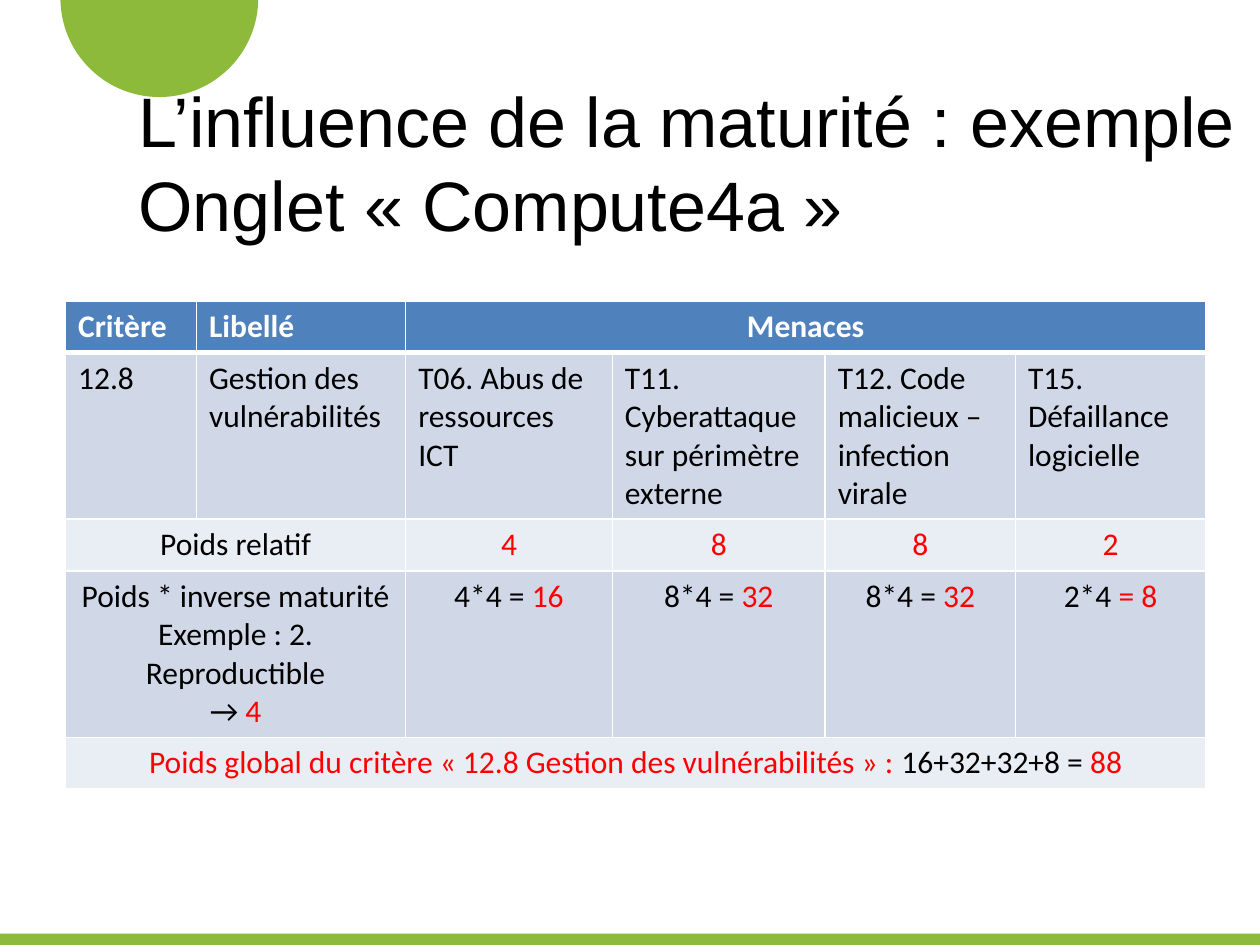
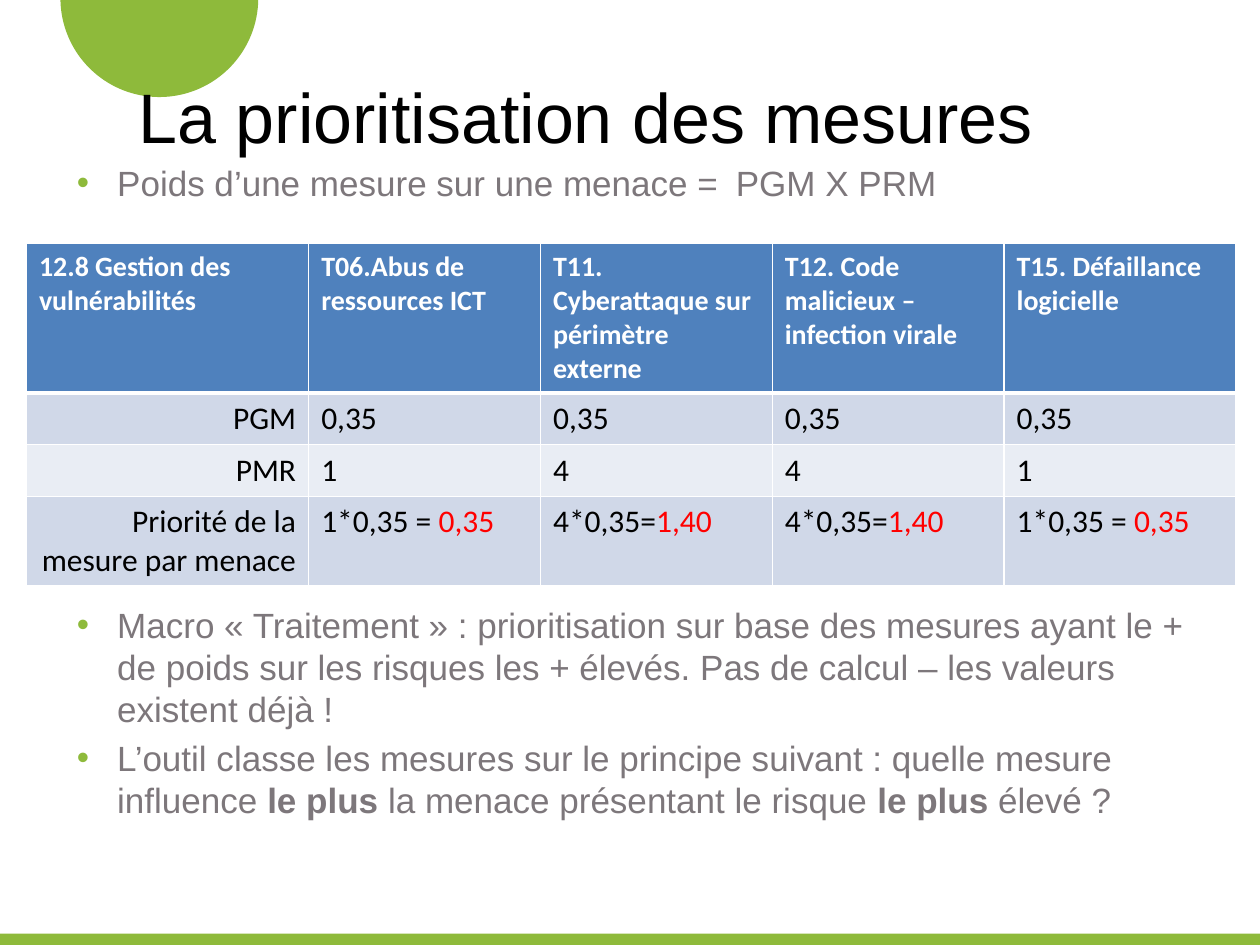
from lxml import etree
from pptx import Presentation
from pptx.dml.color import RGBColor
from pptx.enum.shapes import MSO_SHAPE
from pptx.enum.text import MSO_ANCHOR, MSO_AUTO_SIZE, PP_ALIGN
from pptx.oxml.ns import qn
from pptx.util import Inches, Pt

OVAL, RECTANGLE = MSO_SHAPE.OVAL, MSO_SHAPE.RECTANGLE
LEFT, CENTER, RIGHT = PP_ALIGN.LEFT, PP_ALIGN.CENTER, PP_ALIGN.RIGHT
BOTTOM, NO_FIT = MSO_ANCHOR.BOTTOM, MSO_AUTO_SIZE.NONE

GREEN = RGBColor(0x8E, 0xBA, 0x3B)
BLACK = RGBColor(0x00, 0x00, 0x00)
GREY = RGBColor(0x7D, 0x77, 0x7B)
WHITE = RGBColor(0xFF, 0xFF, 0xFF)
RED = RGBColor(0xFF, 0x00, 0x00)
HEADER_BLUE = RGBColor(0x4F, 0x81, 0xBD)
DARK_BAND = RGBColor(0xD0, 0xD8, 0xE8)
LIGHT_BAND = RGBColor(0xE9, 0xED, 0xF4)

TEXT_FONT, TABLE_FONT = "Arial", "Calibri"
TITLE_ONLY = 5

# The slide is a grid of 100 columns by 75 rows
SLIDE_WIDTH, SLIDE_HEIGHT = Inches(10), Inches(7.5)
COLUMN, ROW = SLIDE_WIDTH / 100, SLIDE_HEIGHT / 75

# In the texts below, "|" switches emphasis (red or bold) on and off
MATURITY_ROWS = [
    ["Critère", "Libellé", "Menaces", "", "", ""],
    ["12.8", "Gestion des vulnérabilités", "T06. Abus de ressources ICT",
     "T11. Cyberattaque sur périmètre externe",
     "T12. Code malicieux – infection virale", "T15. Défaillance logicielle"],
    ["Poids relatif", "", "|4", "|8", "|8", "|2"],
    ["Poids * inverse maturité\nExemple : 2. Reproductible\n→ |4", "",
     "4*4 =| 16", "8*4 =| 32", "8*4 =| 32", "2*4 |= 8"],
    ["|Poids global du critère « 12.8 Gestion des vulnérabilités » : "
     "|16+32+32+8 = |88", "", "", "", "", ""],
]
MATURITY_MERGES = [((0, 2), (0, 5)), ((2, 0), (2, 1)),
                   ((3, 0), (3, 1)), ((4, 0), (4, 5))]

PRIORITY_ROWS = [
    ["12.8 Gestion des vulnérabilités", "T06.Abus de ressources ICT",
     "T11. Cyberattaque sur périmètre externe",
     "T12. Code malicieux – infection virale", "T15. Défaillance logicielle"],
    ["PGM"] + ["0,35"] * 4,
    ["PMR", "1", "4", "4", "1"],
    ["Priorité de la mesure par menace", "1*0,35 = |0,35", "4*0,35=|1,40",
     "4*0,35=|1,40", "1*0,35 = |0,35"],
]

WEIGHT_RULE = ["Poids d’une mesure sur une menace = \tPGM X PRM"]
SORTING_RULES = [
    "Macro « Traitement » : prioritisation sur base des mesures ayant le + "
    "de poids sur les risques les + élevés. Pas de calcul – les valeurs "
    "existent déjà !",
    "L’outil classe les mesures sur le principe suivant : quelle mesure "
    "influence |le plus| la menace présentant le risque |le plus| élevé ?",
]


def place(left, top, width, height):
    """Turn grid columns and rows into slide lengths."""
    return (round(left * COLUMN), round(top * ROW),
            round(width * COLUMN), round(height * ROW))


def add_element(parent, tag, **attributes):
    return etree.SubElement(parent, qn(tag), attributes)


def add_solid_fill(parent, color):
    add_element(add_element(parent, "a:solidFill"), "a:srgbClr", val=str(color))


def add_spans(para, text, font_name, size, color):
    """Write the text and return the emphasised spans."""
    emphasised = []
    for index, part in enumerate(text.split("|")):
        if part:
            span = para.add_run()
            span.text = part
            span.font.name, span.font.size = font_name, Pt(size)
            span.font.color.rgb = color
            if index % 2:
                emphasised.append(span)
    return emphasised


# Shared decoration
def add_master_shape(deck, page, kind, area):
    """Draw a green shape and move it to the back of the slide master."""
    shape = page.shapes.add_shape(kind, *area)
    shape.shadow.inherit = False
    shape.fill.solid()
    shape.fill.fore_color.rgb = GREEN
    shape.line.fill.background()
    deck.slide_master.shapes.element.insert(2, shape.element)


def clear_margins(frame):
    frame.margin_left = frame.margin_right = 0
    frame.margin_top = frame.margin_bottom = 0
    frame.word_wrap = True


def add_page(deck, title, area):
    page = deck.slides.add_slide(deck.slide_layouts[TITLE_ONLY])
    box = page.shapes.title
    box.left, box.top, box.width, box.height = area
    frame = box.text_frame
    frame.text = title
    clear_margins(frame)
    frame.auto_size = NO_FIT
    frame.vertical_anchor = BOTTOM
    para = frame.paragraphs[0]
    para.alignment = LEFT
    for span in para.runs:
        span.font.name, span.font.size = TEXT_FONT, Pt(40)
        span.font.color.rgb = BLACK
    return page


# Bulleted text
def add_bullets(page, area, texts, tab_stops=()):
    frame = page.shapes.add_textbox(*area).text_frame
    clear_margins(frame)
    for index, text in enumerate(texts):
        para = frame.add_paragraph() if index else frame.paragraphs[0]
        properties = para._p.get_or_add_pPr()
        properties.set("marL", str(Inches(0.59)))
        properties.set("indent", str(Inches(-0.32)))
        bullet_color = add_element(properties, "a:buClr")
        add_element(bullet_color, "a:srgbClr", val=str(GREEN))
        add_element(properties, "a:buFont", typeface=TEXT_FONT)
        add_element(properties, "a:buChar", char="•")
        if tab_stops:
            tabs = add_element(properties, "a:tabLst")
            for stop in tab_stops:
                add_element(tabs, "a:tab", pos=str(round(stop * COLUMN)), algn="l")
        if index:
            para.space_before = Pt(4)
        for span in add_spans(para, text, TEXT_FONT, 20, GREY):
            span.font.bold = True


# Tables
def set_borders(cell, row):
    properties = cell._tc.get_or_add_tcPr()
    widths = {"L": 1, "R": 1, "T": 3 if row == 1 else 1, "B": 1 if row else 3}
    for side, width in widths.items():
        line = add_element(properties, f"a:ln{side}", w=str(Pt(width)))
        add_solid_fill(line, WHITE)


def fill_cell(cell, text, row, alignment, header_size):
    set_borders(cell, row)
    cell.fill.solid()
    band = DARK_BAND if row % 2 else LIGHT_BAND
    cell.fill.fore_color.rgb = band if row else HEADER_BLUE
    for index, line in enumerate(text.split("\n")):
        frame = cell.text_frame
        para = frame.add_paragraph() if index else frame.paragraphs[0]
        para.alignment = alignment
        size, color = (18, BLACK) if row else (header_size, WHITE)
        for span in add_spans(para, line, TABLE_FONT, size, color):
            span.font.color.rgb = RED
        for span in para.runs:
            span.font.bold = row == 0


def add_banded_table(page, corner, widths, heights, rows, align,
                     header_size=18, merges=()):
    area = place(*corner, sum(widths), sum(heights))
    table = page.shapes.add_table(len(rows), len(widths), *area).table
    table.first_row = table.horz_banding = False
    for column, width in zip(table.columns, widths):
        column.width = round(width * COLUMN)
    for table_row, height in zip(table.rows, heights):
        table_row.height = round(height * ROW)
    for row, texts in enumerate(rows):
        for column, text in enumerate(texts):
            fill_cell(table.cell(row, column), text, row,
                      align(row, column), header_size)
    for first, last in merges:
        table.cell(*first).merge(table.cell(*last))


def align_maturity(row, column):
    return CENTER if row >= 2 or (row, column) == (0, 2) else LEFT


def align_priority(row, column):
    return RIGHT if row and column == 0 else LEFT


def main():
    deck = Presentation()
    deck.slide_width, deck.slide_height = SLIDE_WIDTH, SLIDE_HEIGHT

    # Influence of maturity
    page = add_page(deck, "L’influence de la maturité : exemple\v"
                    "Onglet « Compute4a »", place(11, 8.9, 87.8, 10.6))
    add_master_shape(deck, page, OVAL, place(4.8, -8, 15.7, 15.7))
    add_master_shape(deck, page, RECTANGLE, place(0, 74.1, 100, 0.9))
    add_banded_table(page, (5.2, 23.9), [10.4, 16.6, 16.4, 16.9, 15.1, 15.1],
                     [4.1, 13.1, 4.1, 13.1, 4.1], MATURITY_ROWS,
                     align_maturity, merges=MATURITY_MERGES)

    # Prioritisation of measures
    page = add_page(deck, "La prioritisation des mesures",
                    place(11, 1.9, 84, 10.6))
    add_bullets(page, place(3.4, 12.8, 90.7, 4), WEIGHT_RULE,
                tab_stops=(49.1, 55))
    add_banded_table(page, (2.1, 19.3), [22.4] + [18.4] * 4,
                     [11.9, 4.1, 4.1, 7.1], PRIORITY_ROWS,
                     align_priority, header_size=16)
    add_bullets(page, place(3.4, 47.9, 90.7, 17.2), SORTING_RULES)

    deck.save("out.pptx")


if __name__ == "__main__":
    main()
